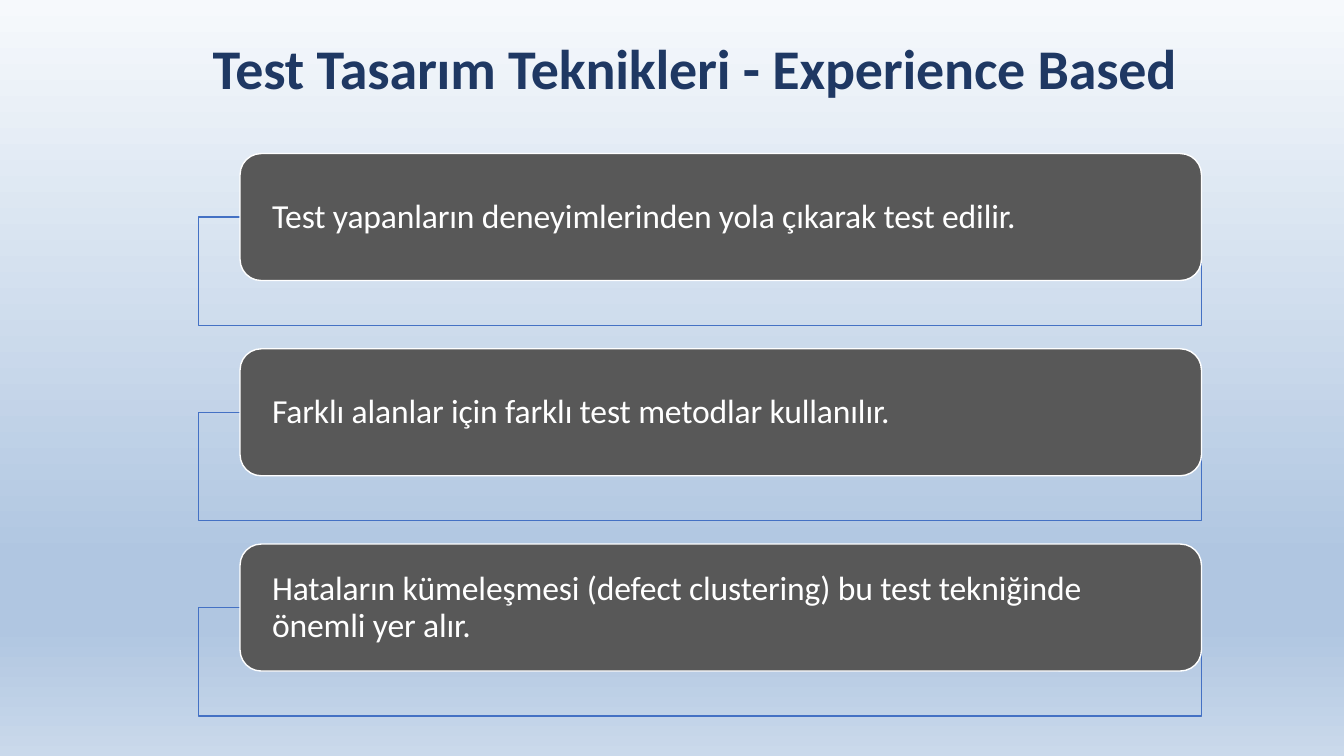
"""Build the slide on experience based test design techniques."""
from dataclasses import dataclass

from lxml.etree import SubElement
from pptx import Presentation
from pptx.dml.color import RGBColor
from pptx.enum.shapes import MSO_SHAPE
from pptx.enum.text import MSO_ANCHOR, PP_ALIGN
from pptx.oxml.ns import qn
from pptx.util import Cm, Pt


@dataclass(frozen=True)
class Theme:
    font: str = "Calibri"
    title_color: str = "1F3863"
    card_fill: str = "585858"
    card_text: str = "FFFFFF"
    frame_line: str = "4471C4"
    backdrop: tuple = ((0, "F6F9FC"), (74, "B0C6E1"), (83, "B0C6E1"), (100, "CAD9EB"))
    title_size: int = 40
    body_size: int = 24
    line_spacing: float = 26.3
    tracking: int = -10


THEME = Theme()
TITLE = "Test Tasarım Teknikleri - Experience Based"
POINTS = (
    "Test yapanların deneyimlerinden yola çıkarak test edilir.",
    "Farklı alanlar için farklı test metodlar kullanılır.",
    "Hataların kümeleşmesi (defect clustering) bu test tekniğinde önemli yer alır.",
)
FIRST_CARD_TOP = 3.87
CARD_PITCH = 4.92


def paint_background(page):
    fill = page.background.fill
    fill.gradient()
    fill.gradient_angle = 270
    stops = page.element.find(".//" + qn("a:gsLst"))
    stops.clear()
    for percent, color in THEME.backdrop:
        stop = SubElement(stops, qn("a:gs"), pos=str(percent * 1000))
        SubElement(stop, qn("a:srgbClr"), val=color)


def write_text(frame, text, size, color, bold=False):
    frame.text = text
    frame.word_wrap = True
    para = frame.paragraphs[0]
    para.alignment = PP_ALIGN.LEFT
    for span in para.runs:
        span.font.name = THEME.font
        span.font.size = Pt(size)
        span.font.bold = bold
        span.font.color.rgb = RGBColor.from_string(color)
        span._r.get_or_add_rPr().set("spc", str(THEME.tracking))
    return para


def add_title(page):
    box = page.shapes.add_textbox(Cm(5.36), Cm(0.84), Cm(24.94), Cm(1.78))
    frame = box.text_frame
    frame.margin_left = frame.margin_right = frame.margin_top = frame.margin_bottom = 0
    write_text(frame, TITLE, THEME.title_size, THEME.title_color, bold=True)


def add_frame(page, top):
    outline = page.shapes.add_shape(MSO_SHAPE.RECTANGLE, Cm(5), Cm(top), Cm(25.28), Cm(2.73))
    outline.shadow.inherit = False
    outline.fill.background()
    outline.line.color.rgb = RGBColor.from_string(THEME.frame_line)
    outline.line.width = Pt(1)


def add_card(page, top, text):
    card = page.shapes.add_shape(
        MSO_SHAPE.ROUNDED_RECTANGLE, Cm(6.05), Cm(top), Cm(24.23), Cm(3.2)
    )
    card.shadow.inherit = False
    card.fill.solid()
    card.fill.fore_color.rgb = RGBColor.from_string(THEME.card_fill)
    card.line.color.rgb = RGBColor.from_string(THEME.card_text)
    card.line.width = Pt(1)
    frame = card.text_frame
    frame.vertical_anchor = MSO_ANCHOR.MIDDLE
    frame.margin_left, frame.margin_right = Cm(0.65), Cm(2.4)
    para = write_text(frame, text, THEME.body_size, THEME.card_text)
    para.line_spacing = Pt(THEME.line_spacing)


def main():
    deck = Presentation()
    deck.slide_width, deck.slide_height = Cm(33.87), Cm(19.05)
    page = deck.slides.add_slide(deck.slide_layouts[6])
    paint_background(page)
    add_title(page)
    for index, point in enumerate(POINTS):
        top = FIRST_CARD_TOP + index * CARD_PITCH
        add_frame(page, top + 1.6)
        add_card(page, top, point)
    deck.save("out.pptx")


if __name__ == "__main__":
    main()
